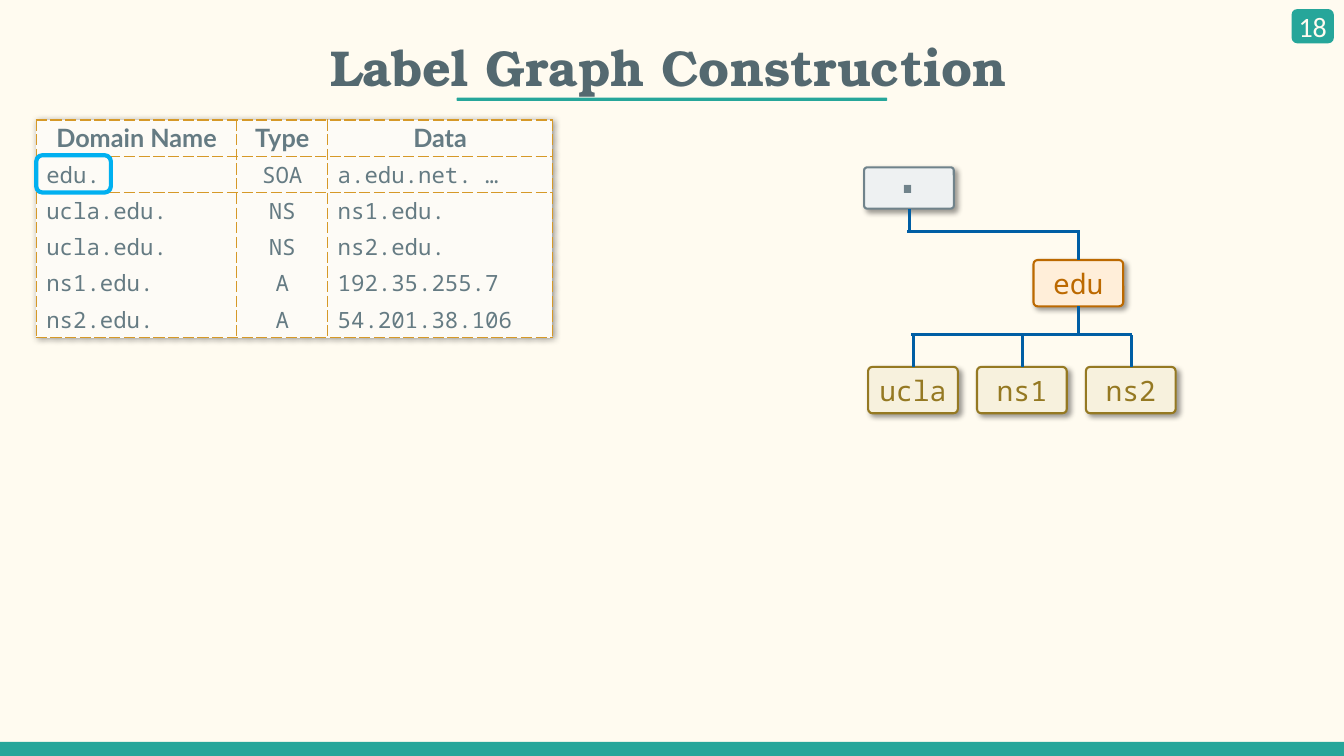
from dataclasses import dataclass

from lxml import etree
from pptx import Presentation
from pptx.dml.color import RGBColor
from pptx.enum.shapes import MSO_CONNECTOR, MSO_SHAPE
from pptx.enum.text import MSO_ANCHOR, PP_ALIGN
from pptx.oxml import parse_xml
from pptx.oxml.ns import nsdecls, qn
from pptx.util import Inches, Pt

LEFT, CENTER = PP_ALIGN.LEFT, PP_ALIGN.CENTER
TOP, MIDDLE = MSO_ANCHOR.TOP, MSO_ANCHOR.MIDDLE
RECTANGLE, ROUNDED = MSO_SHAPE.RECTANGLE, MSO_SHAPE.ROUNDED_RECTANGLE
STRAIGHT = MSO_CONNECTOR.STRAIGHT

TEAL, CREAM, SLATE = "26A69A", "FFFBF0", "657B83"
BRANCH_BLUE, DASH_GOLD, CELL_FILL = "005EA4", "D69928", "FDFBF6"
MONO = "Noto Sans Mono"
NO_STYLE_NO_GRID = "{2D5ABB26-0587-4C30-8999-92F81FD0307C}"

COLUMN_WIDTHS = (1.99, 0.9, 2.23)
ROW_HEIGHT = 0.36
RECORDS = (
    ("Domain Name", "Type", "Data"),
    ("edu.", "SOA", "a.edu.net. …"),
    ("ucla.edu.", "NS", "ns1.edu."),
    ("ucla.edu.", "NS", "ns2.edu."),
    ("ns1.edu.", "A", "192.35.255.7"),
    ("ns2.edu.", "A", "54.201.38.106"),
)


@dataclass(frozen=True)
class Node:
    label: str
    left: float
    top: float
    height: float
    fill: str
    accent: str
    corner: float = 0.091
    width: float = 0.89


@dataclass(frozen=True)
class Branch:
    x1: float
    y1: float
    x2: float
    y2: float


ROOT = Node("", 8.57, 1.66, 0.41, "EEF1F2", "70838B", 0.074)
EDU = Node("edu", 10.25, 2.58, 0.46, "FFEED9", "BC6900")
LEAVES = [
    Node(label, 8.61 + 1.08 * index, 3.64, 0.46, "F7F1DD", "957922")
    for index, label in enumerate(("ucla", "ns1", "ns2"))
]
ROOT_BUS, LEAF_BUS = 2.3, 3.32
BRANCHES = [
    Branch(10.71, ROOT_BUS, 9, ROOT_BUS),
    Branch(10.7, 2.58, 10.7, ROOT_BUS),
    Branch(9.02, ROOT_BUS, 9.02, 2.07),
    Branch(11.23, LEAF_BUS, 9.04, LEAF_BUS),
    Branch(10.7, LEAF_BUS, 10.7, 3.04),
    *(Branch(leaf.left + 0.45, leaf.top, leaf.left + 0.45, LEAF_BUS) for leaf in LEAVES),
]


def color(value: str) -> RGBColor:
    return RGBColor.from_string(value)


def write_text(frame, text: str, *, size: float, font: str, ink: str, bold: bool = False,
               align=LEFT, anchor=MIDDLE, wrap: bool = True, insets=None) -> None:
    frame.word_wrap = wrap
    frame.vertical_anchor = anchor
    if insets is not None:
        frame.margin_left = frame.margin_right = Inches(insets)
        frame.margin_top = frame.margin_bottom = Inches(insets)
    paragraph = frame.paragraphs[0]
    paragraph.alignment = align
    run = paragraph.add_run()
    run.text = text
    run.font.size = Pt(size)
    run.font.name = font
    run.font.bold = bold
    run.font.color.rgb = color(ink)


def add_shadow(effects, blur: float, distance: float) -> None:
    """Append a soft black shadow falling to the lower right."""
    effects.append(parse_xml(
        f'<a:outerShdw {nsdecls("a")} blurRad="{Pt(blur)}" dist="{Pt(distance)}" '
        'dir="2700000" algn="tl" rotWithShape="0">'
        '<a:srgbClr val="000000"><a:alpha val="40000"/></a:srgbClr></a:outerShdw>'))


def add_box(slide, kind, left: float, top: float, width: float, height: float, *,
            fill: str = "", line: str = "", line_width: float = 1.5):
    shape = slide.shapes.add_shape(kind, Inches(left), Inches(top), Inches(width), Inches(height))
    shape.shadow.inherit = False
    if fill:
        shape.fill.solid()
        shape.fill.fore_color.rgb = color(fill)
    else:
        shape.fill.background()
    if line:
        shape.line.color.rgb = color(line)
        shape.line.width = Pt(line_width)
    else:
        shape.line.fill.background()
    return shape


def add_text_box(slide, left: float, top: float, width: float, height: float, text: str,
                 **text_format) -> None:
    box = slide.shapes.add_textbox(Inches(left), Inches(top), Inches(width), Inches(height))
    write_text(box.text_frame, text, anchor=TOP, **text_format)


def add_node(slide, node: Node) -> None:
    shape = add_box(slide, ROUNDED, node.left, node.top, node.width, node.height,
                    fill=node.fill, line=node.accent)
    shape.adjustments[0] = node.corner
    add_shadow(shape._element.spPr.find(qn("a:effectLst")), 4, 3)
    if node.label:
        write_text(shape.text_frame, node.label, size=20, font=MONO, ink=node.accent,
                   align=CENTER, wrap=False)


def add_branch(slide, branch: Branch) -> None:
    connector = slide.shapes.add_connector(
        STRAIGHT, Inches(branch.x1), Inches(branch.y1), Inches(branch.x2), Inches(branch.y2))
    connector.line.color.rgb = color(BRANCH_BLUE)
    connector.line.width = Pt(2)
    etree.SubElement(connector._element.spPr, qn("a:effectLst"))


def set_borders(cell, sides: str) -> None:
    """Dash the given sides; sides is in the order L, R, T, B."""
    properties = cell._tc.get_or_add_tcPr()
    for index, side in enumerate(sides):
        properties.insert(index, parse_xml(
            f'<a:ln{side} {nsdecls("a")} w="{Pt(1)}"><a:solidFill><a:srgbClr val="{DASH_GOLD}"/>'
            f'</a:solidFill><a:prstDash val="sysDash"/></a:ln{side}>'))


def add_record_table(slide) -> None:
    frame = slide.shapes.add_table(
        len(RECORDS), len(COLUMN_WIDTHS), Inches(0.36), Inches(1.19),
        Inches(sum(COLUMN_WIDTHS)), Inches(ROW_HEIGHT * len(RECORDS)))
    table = frame.table
    table.horz_banding = False
    properties = table._tbl.tblPr
    properties.find(qn("a:tableStyleId")).text = NO_STYLE_NO_GRID
    effects = etree.Element(qn("a:effectLst"))
    properties.insert(0, effects)
    add_shadow(effects, 5, 1)
    for column, width in zip(table.columns, COLUMN_WIDTHS):
        column.width = Inches(width)
    for row_index, record in enumerate(RECORDS):
        table.rows[row_index].height = Inches(ROW_HEIGHT)
        header = row_index == 0
        sides = "LR"
        if row_index <= 1:
            sides += "T"
        if row_index in (0, len(RECORDS) - 1):
            sides += "B"
        for column_index, text in enumerate(record):
            cell = table.cell(row_index, column_index)
            cell.margin_left = cell.margin_right = Inches(0.1)
            cell.margin_top = cell.margin_bottom = Inches(0)
            cell.vertical_anchor = MIDDLE
            cell.fill.solid()
            cell.fill.fore_color.rgb = color(CELL_FILL)
            set_borders(cell, sides)
            write_text(cell.text_frame, text, size=18 if header else 16,
                       font="Lato" if header else MONO, ink=SLATE, bold=header,
                       align=CENTER if header or column_index == 1 else LEFT, anchor=None)


def main() -> None:
    presentation = Presentation()
    presentation.slide_width, presentation.slide_height = Inches(13.33), Inches(7.5)
    slide = presentation.slides.add_slide(presentation.slide_layouts[6])
    slide.background.fill.solid()
    slide.background.fill.fore_color.rgb = color(CREAM)

    # Footer bar, page number and title
    add_box(slide, RECTANGLE, 0, 7.36, 13.33, 0.14, fill=TEAL)
    badge = add_box(slide, ROUNDED, 12.81, 0.09, 0.42, 0.34, fill=TEAL)
    write_text(badge.text_frame, "18", size=20, font="Calibri", ink=CREAM, align=CENTER, insets=0)
    add_text_box(slide, 3.15, 0.23, 7.03, 0.88, "Label Graph Construction", size=36,
                 font="TeX Gyre Bonum", ink="546970", bold=True, wrap=False, insets=0.13)
    add_box(slide, ROUNDED, 4.53, 0.97, 4.27, 0.03, fill=TEAL)

    # Zone records with the current name marked
    add_record_table(slide)
    add_box(slide, ROUNDED, 0.36, 1.54, 0.74, 0.37, line="00B0F0", line_width=3)

    # Label graph
    for node in (ROOT, EDU, *LEAVES):
        add_node(slide, node)
    add_text_box(slide, 8.8, 1.12, 0.25, 1.01, ".", size=54, font="Arial", ink=ROOT.accent)
    for branch in BRANCHES:
        add_branch(slide, branch)

    presentation.save("out.pptx")


if __name__ == "__main__":
    main()
